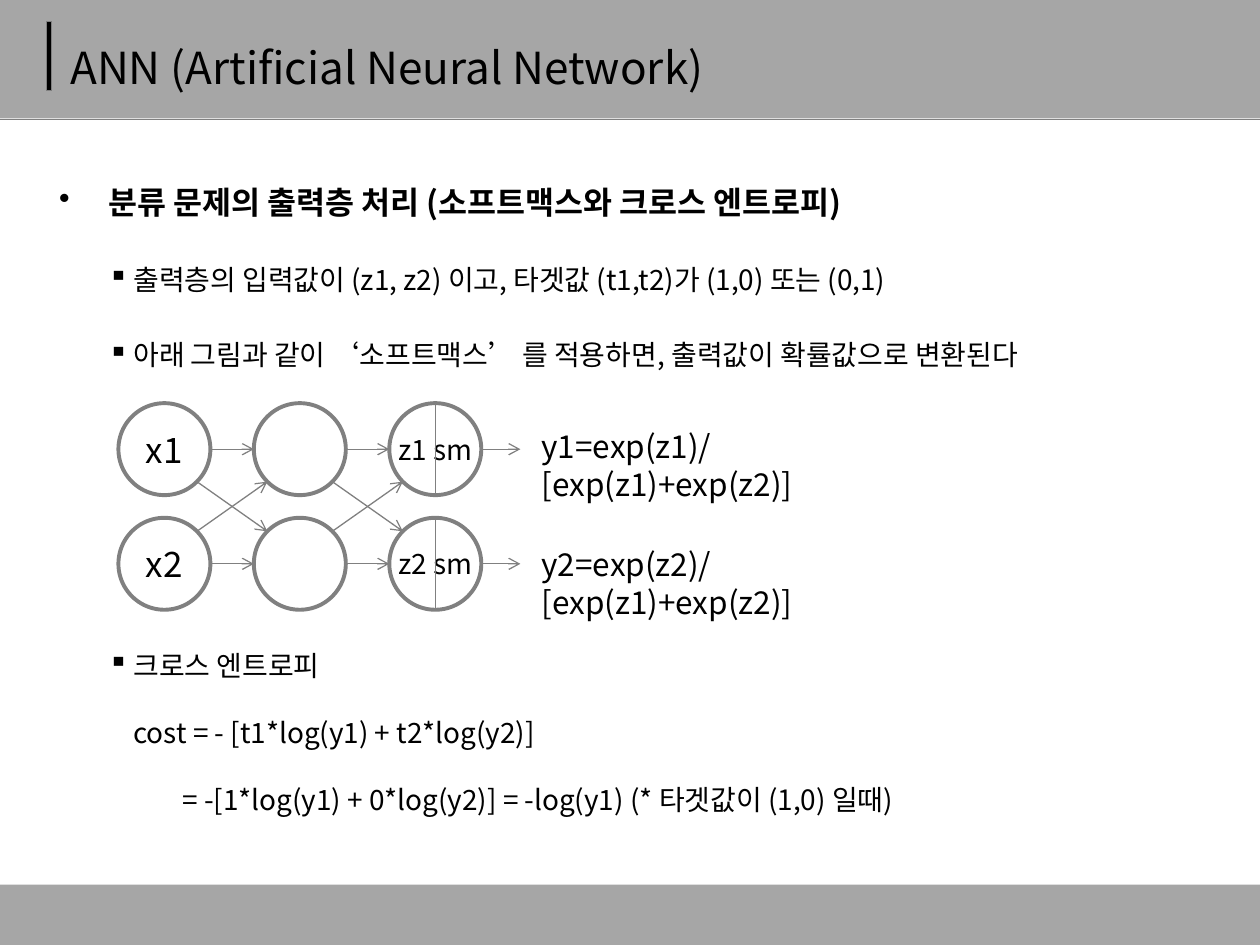
from dataclasses import dataclass
from itertools import pairwise, product
from math import sqrt

from pptx import Presentation
from pptx.dml.color import RGBColor
from pptx.enum.shapes import MSO_CONNECTOR, MSO_SHAPE
from pptx.enum.text import MSO_ANCHOR, PP_ALIGN
from pptx.oxml.ns import qn
from pptx.slide import Slide
from pptx.util import Inches, Pt

RECTANGLE, OVAL = MSO_SHAPE.RECTANGLE, MSO_SHAPE.OVAL
STRAIGHT = MSO_CONNECTOR.STRAIGHT
MIDDLE, TOP = MSO_ANCHOR.MIDDLE, MSO_ANCHOR.TOP
CENTER, LEFT = PP_ALIGN.CENTER, PP_ALIGN.LEFT
COLORS = {"band": "A6A6A6", "line": "808080", "text": "000000", "node": "FFFFFF"}
HEADING = {"size": 18, "bold": True, "margin": 0.39, "hanging": 0.39, "bullet": "•"}
POINT = {"size": 16, "margin": 0.59, "hanging": 0.2, "bullet": "▪"}
FORMULA = {"size": 16, "margin": 0.59}


@dataclass
class SlideBuilder:
    """Holds the style and the current slide, and draws each kind of element."""

    slide: Slide
    font: str = "Noto Sans CJK KR"

    def color(self, name):
        return RGBColor.from_string(COLORS[name])

    def shape(self, kind, box, fill, line_width=0):
        shape = self.slide.shapes.add_shape(kind, *map(Inches, box))
        shape.shadow.inherit = False
        shape.fill.solid()
        shape.fill.fore_color.rgb = self.color(fill)
        if line_width:
            shape.line.color.rgb = self.color("line")
            shape.line.width = Pt(line_width)
        else:
            shape.line.fill.background()
        return shape

    def line(self, start, end, arrow=False):
        connector = self.slide.shapes.add_connector(STRAIGHT, *map(Inches, (*start, *end)))
        connector.line.color.rgb = self.color("line")
        connector.line.width = Pt(0.75)
        properties = connector._element.spPr
        if arrow:
            outline = properties.find(qn("a:ln"))
            outline.append(outline.makeelement(qn("a:tailEnd"), {"type": "arrow"}))
        properties.append(properties.makeelement(qn("a:effectLst"), {}))

    def add_styled_run(self, paragraph, text, size, bold=False):
        run = paragraph.add_run()
        run.text = text
        font_values = {"name": self.font, "size": Pt(size), "bold": bold}
        for attribute, value in font_values.items():
            setattr(run.font, attribute, value)
        run.font.color.rgb = self.color("text")
        properties = run._r.get_or_add_rPr()
        properties.append(properties.makeelement(qn("a:ea"), {"typeface": self.font}))

    def label(self, shape, text, size, wrap=False, anchor=MIDDLE, align=CENTER):
        frame = shape.text_frame
        for attribute, value in {"word_wrap": wrap, "vertical_anchor": anchor}.items():
            setattr(frame, attribute, value)
        frame.paragraphs[0].alignment = align
        self.add_styled_run(frame.paragraphs[0], text, size)

    def text_box(self, box):
        return self.slide.shapes.add_textbox(*map(Inches, box))

    def text(self, box, text, size, anchor=TOP):
        self.label(self.text_box(box), text, size, True, anchor, LEFT)

    def outline(self, box, items):
        frame = self.text_box(box).text_frame
        frame.word_wrap = True
        for index, (text, style) in enumerate(items):
            paragraph = frame.add_paragraph() if index else frame.paragraphs[0]
            bullet = style.get("bullet")
            spaced = index and bullet
            spacing = {"line_spacing": Pt(38.3), "space_before": Pt(4.8 if spaced else 0)}
            for attribute, value in spacing.items():
                setattr(paragraph, attribute, value)
            properties = paragraph._p.get_or_add_pPr()
            properties.set("marL", str(Inches(style["margin"])))
            properties.set("indent", str(-Inches(style.get("hanging", 0))))
            if bullet:
                properties.append(properties.makeelement(qn("a:buChar"), {"char": bullet}))
            self.add_styled_run(paragraph, text, style["size"], style.get("bold", False))


def draw_network(builder):
    """Draws the two-row network with its softmax outputs."""
    diameter = 0.73
    radius = diameter / 2
    diagonal = radius / sqrt(2)
    columns = [0.94 + radius + 1.075 * index for index in range(3)]
    rows = [3.2 + radius, 4.11 + radius]
    layers = [("x1", "x2"), ("", ""), ("z1 sm", "z2 sm")]

    for (x, names), size in zip(zip(columns, layers), (20, 20, 16)):
        for y, name in zip(rows, names):
            box = (x - radius, y - radius, diameter, diameter)
            node = builder.shape(OVAL, box, "node", 2.25)
            if name:
                builder.label(node, name, size)

    for (x, next_x), (y, next_y) in product(pairwise(columns), product(rows, rows)):
        if y == next_y:
            start, end = (x + radius, y), (next_x - radius, y)
        else:
            drop = diagonal if next_y > y else -diagonal
            start = (x + diagonal, y + drop)
            end = (next_x - diagonal, next_y - drop)
        builder.line(start, end, arrow=True)

    output_x = columns[-1]
    for number, y, formula_top in zip((1, 2), rows, (3.34, 4.28)):
        builder.line((output_x + radius, y), (4.13, y), arrow=True)
        builder.line((output_x, y - radius), (output_x, y + radius))
        formula = f"y{number}=exp(z{number})/[exp(z1)+exp(z2)]"
        builder.text((4.2, formula_top, 3.2, 0.7), formula, 18)


def main():
    presentation = Presentation()
    presentation.slide_width = Inches(10)
    presentation.slide_height = Inches(7.5)
    builder = SlideBuilder(presentation.slides.add_slide(presentation.slide_layouts[6]))

    builder.shape(RECTANGLE, (0, -0.01, 10, 0.95), "band")
    builder.line((0, 0.95), (10, 0.95))
    builder.shape(RECTANGLE, (0.37, 0.17, 0.04, 0.55), "text", 0.75)
    builder.shape(RECTANGLE, (0, 7.02, 10, 0.48), "band")
    builder.text((0.46, 0.22, 8.62, 0.62), "ANN (Artificial Neural Network)", 25.2, MIDDLE)

    builder.outline((0.37, 1.17, 9.28, 1.9), [
        ("분류 문제의 출력층 처리 (소프트맥스와 크로스 엔트로피)", HEADING),
        ("출력층의 입력값이 (z1, z2) 이고, 타겟값 (t1,t2)가 (1,0) 또는 (0,1)", POINT),
        ("아래 그림과 같이 ‘소프트맥스’ 를 적용하면, 출력값이 확률값으로 변환된다", POINT),
    ])
    draw_network(builder)
    builder.outline((0.37, 4.83, 9.28, 1.8), [
        ("크로스 엔트로피", POINT),
        ("cost = - [t1*log(y1) + t2*log(y2)]", FORMULA),
        ("= -[1*log(y1) + 0*log(y2)] = -log(y1) (* 타겟값이 (1,0) 일때)",
         FORMULA | {"margin": 0.98}),
    ])
    presentation.save("out.pptx")


if __name__ == "__main__":
    main()
